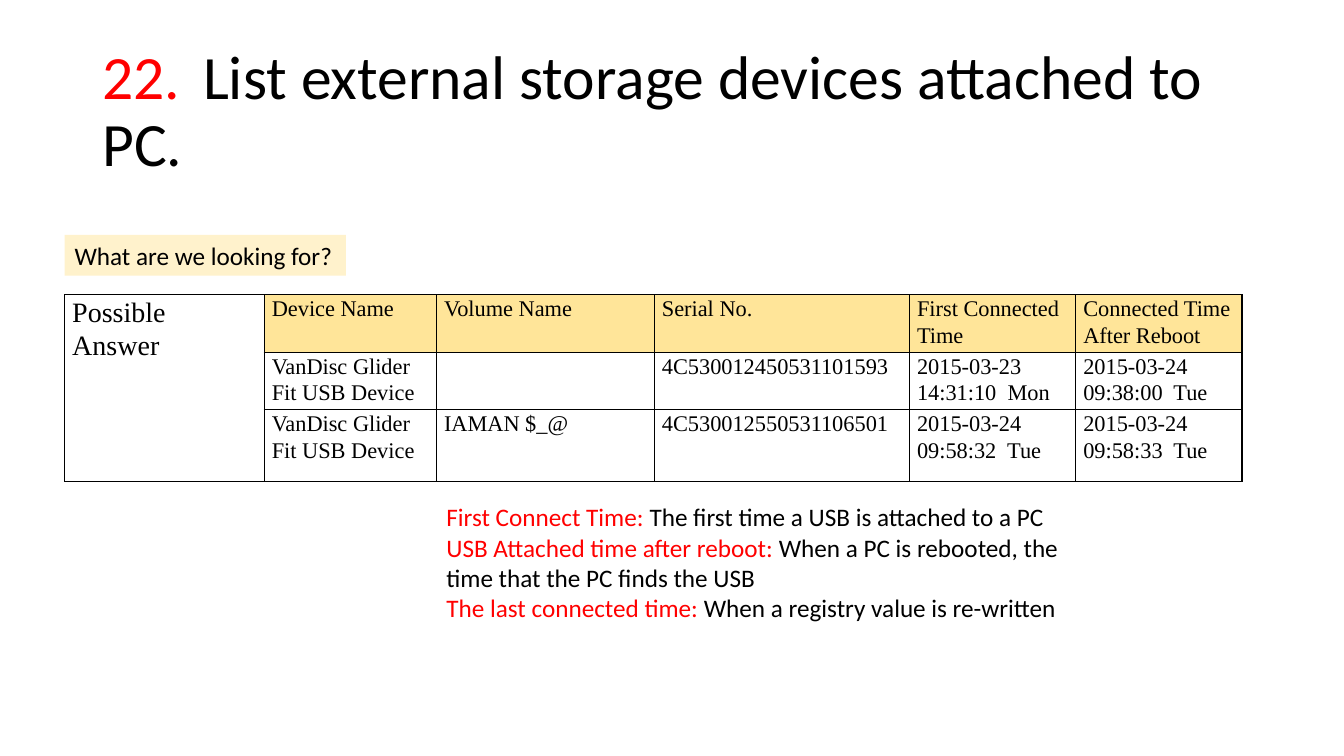
from lxml import etree
from pptx import Presentation
from pptx.dml.color import RGBColor
from pptx.enum.shapes import MSO_SHAPE
from pptx.enum.text import MSO_ANCHOR, PP_ALIGN
from pptx.oxml.ns import qn
from pptx.util import Cm, Pt

RECTANGLE = MSO_SHAPE.RECTANGLE
TOP, MIDDLE = MSO_ANCHOR.TOP, MSO_ANCHOR.MIDDLE
LEFT, JUSTIFY = PP_ALIGN.LEFT, PP_ALIGN.JUSTIFY
BLACK, RED = "000000", "FF0000"
HEADER_FILL, LABEL_FILL = "FFE599", "FFF2CC"


def color(value):
    return RGBColor.from_string(value)


class DeviceSlide:
    """Holds the text style and the current page, and adds elements to it."""

    sans, serif = "Calibri", "Times New Roman"

    def __init__(self, deck):
        self.page = deck.slides.add_slide(deck.slide_layouts[6])

    def add_paragraphs(self, frame, paragraphs, size, font, align=LEFT, spacing=None):
        for index, spans in enumerate(paragraphs):
            para = frame.add_paragraph() if index else frame.paragraphs[0]
            para.alignment = align
            if spacing:
                para.line_spacing = spacing
            for text, ink in spans:
                span = para.add_run()
                span.text = text
                span.font.size = Pt(size)
                span.font.name = font
                span.font.color.rgb = color(ink)

    def text(self, place, paragraphs, size, anchor=TOP, spacing=None):
        box = self.page.shapes.add_textbox(*map(Cm, place))
        box.text_frame.word_wrap = True
        box.text_frame.vertical_anchor = anchor
        self.add_paragraphs(box.text_frame, paragraphs, size, self.sans, spacing=spacing)

    def label(self, place, text, size):
        box = self.page.shapes.add_shape(RECTANGLE, *map(Cm, place))
        box.shadow.inherit = False
        box.fill.solid()
        box.fill.fore_color.rgb = color(LABEL_FILL)
        box.line.fill.background()
        box.text_frame.word_wrap = False
        self.add_paragraphs(box.text_frame, [[(text, BLACK)]], size, self.sans)

    def border(self, cell):
        properties = cell._tc.get_or_add_tcPr()
        for side in ("lnL", "lnR", "lnT", "lnB"):
            line = etree.SubElement(properties, qn(f"a:{side}"), w=str(Pt(1)))
            fill = etree.SubElement(line, qn("a:solidFill"))
            etree.SubElement(fill, qn("a:srgbClr"), val=BLACK)

    def table(self, left, top, widths, heights, rows):
        place = map(Cm, (left, top, sum(widths), sum(heights)))
        table = self.page.shapes.add_table(len(rows), len(widths), *place).table
        table.first_row = table.horz_banding = False
        for column, width in zip(table.columns, widths):
            column.width = Cm(width)
        for row, height in zip(table.rows, heights):
            row.height = Cm(height)
        table.cell(0, 0).merge(table.cell(len(rows) - 1, 0))
        for r, values in enumerate(rows):
            for c, value in enumerate(values):
                cell = table.cell(r, c)
                cell.margin_left = cell.margin_right = Cm(0.19)
                cell.margin_top = cell.margin_bottom = 0
                self.border(cell)
                if r == 0 and c > 0:
                    cell.fill.solid()
                    cell.fill.fore_color.rgb = color(HEADER_FILL)
                else:
                    cell.fill.background()
                if value:
                    size, align = (16, LEFT) if c else (20, JUSTIFY)
                    self.add_paragraphs(
                        cell.text_frame, [[(value, BLACK)]], size, self.serif, align, 1.07)


def main():
    deck = Presentation()
    deck.slide_width, deck.slide_height = Cm(33.87), Cm(19.05)
    slide = DeviceSlide(deck)
    title = [("22.", RED), ("\tList external storage devices attached to PC.", BLACK)]
    slide.text((2.33, 1.01, 29.21, 3.68), [title], 44, MIDDLE, 0.9)
    slide.table(1.63, 7.43, (5.03, 4.34, 5.49, 6.43, 4.19, 4.19), (1.36, 1.36, 1.66), [
        ("Possible Answer", "Device Name", "Volume Name", "Serial No.",
         "First Connected Time", "Connected Time After Reboot"),
        ("", "VanDisc Glider Fit USB Device", "", "4C530012450531101593",
         "2015-03-23  14:31:10  Mon", "2015-03-24 09:38:00  Tue"),
        ("", "VanDisc Glider Fit USB Device", "IAMAN $_@", "4C530012550531106501",
         "2015-03-24 09:58:32  Tue", "2015-03-24 09:58:33  Tue"),
    ])
    slide.label((1.63, 5.92, 7.09, 1.03), "What are we looking for?", 18)
    definitions = [
        ("First Connect Time: ", "The first time a USB is attached to a PC"),
        ("USB Attached time after reboot: ",
         "When a PC is rebooted, the time that the PC finds the USB"),
        ("The last connected time: ", "When a registry value is re-written"),
    ]
    notes = [[(term, RED), (meaning, BLACK)] for term, meaning in definitions]
    slide.text((11, 12.52, 17.15, 3.33), notes, 18)
    deck.save("out.pptx")


if __name__ == "__main__":
    main()
